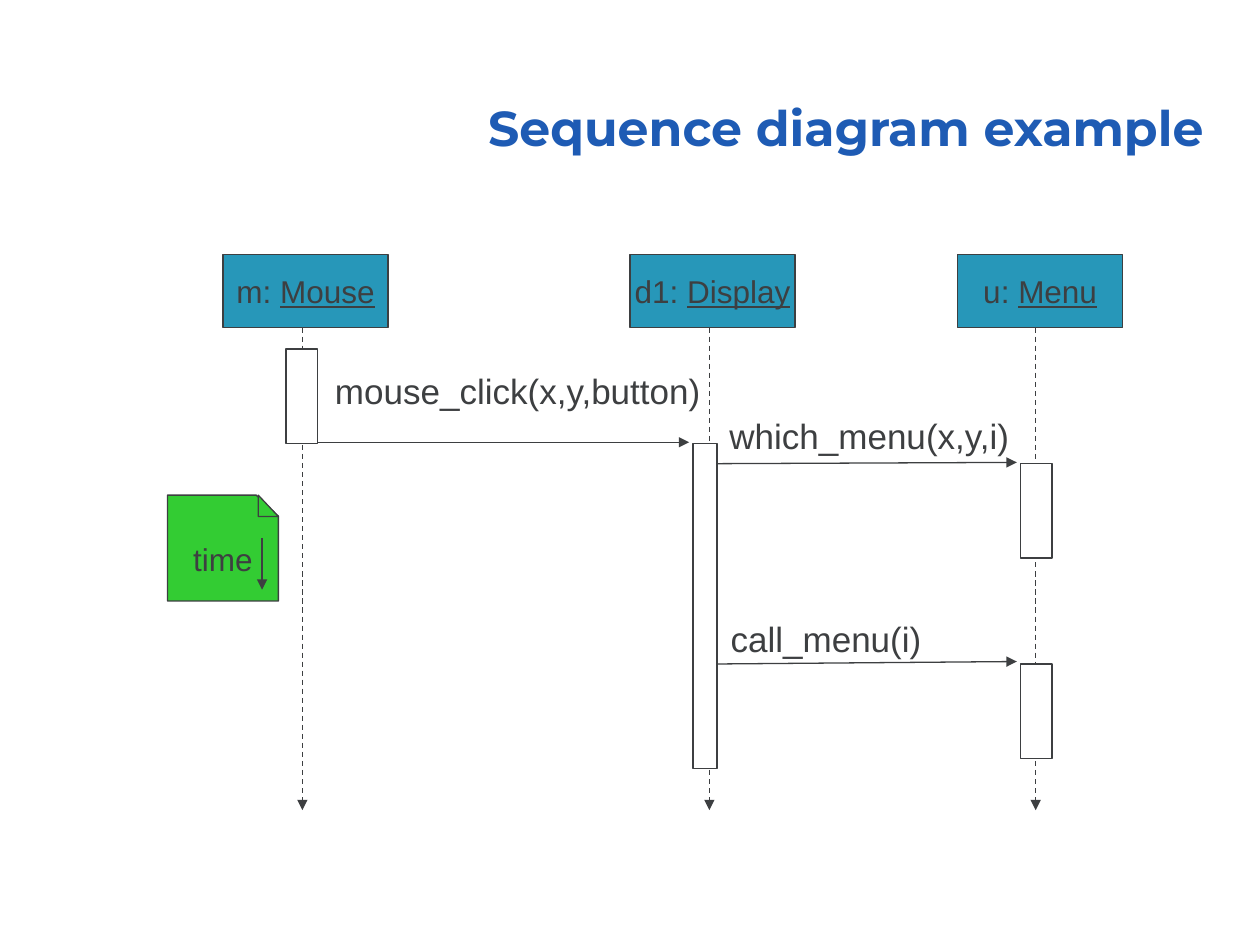
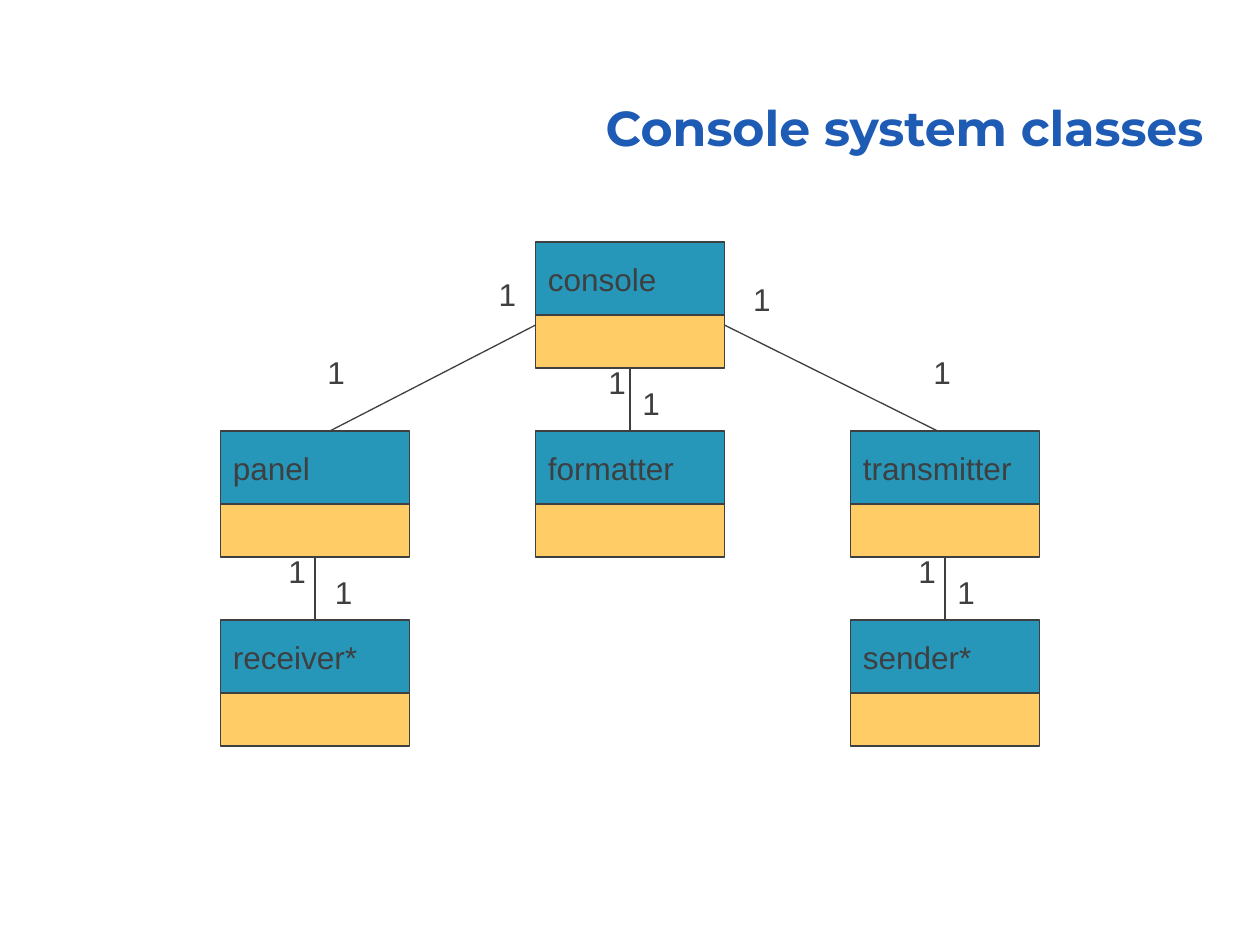
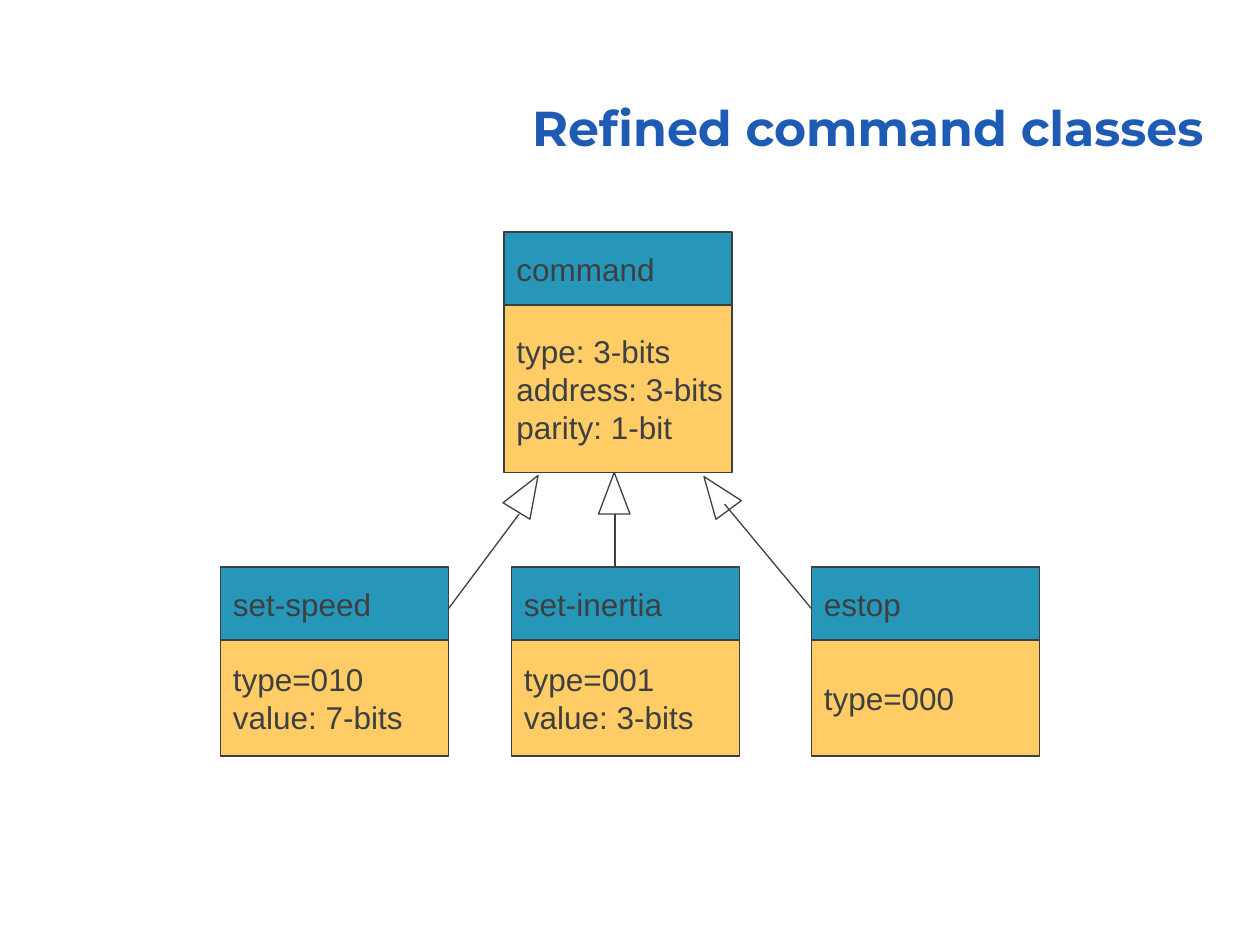
"""Build three UML slides: a sequence diagram and two class diagrams."""
from dataclasses import dataclass

from lxml.etree import SubElement
from pptx import Presentation
from pptx.dml.color import RGBColor
from pptx.enum.dml import MSO_LINE
from pptx.enum.shapes import MSO_CONNECTOR, MSO_SHAPE
from pptx.enum.text import MSO_ANCHOR, MSO_AUTO_SIZE, PP_ALIGN
from pptx.oxml.ns import qn
from pptx.util import Inches, Pt


@dataclass(frozen=True)
class Theme:
    ink: RGBColor = RGBColor.from_string("3D3F41")
    title: RGBColor = RGBColor.from_string("1E5BB4")
    head: RGBColor = RGBColor.from_string("2797B9")
    body: RGBColor = RGBColor.from_string("FFCC66")
    note: RGBColor = RGBColor.from_string("33CC33")
    white: RGBColor = RGBColor.from_string("FFFFFF")
    title_font: str = "Montserrat"
    font: str = "Arial"
    title_size: Pt = Pt(28)
    message_size: Pt = Pt(20)
    size: Pt = Pt(18)
    line: Pt = Pt(0.75)


T = Theme()


def add_box(s, at, text="", underlined="", fill=None, shape=MSO_SHAPE.RECTANGLE,
            size=T.size, align=PP_ALIGN.LEFT, rotation=0):
    """Add a filled shape, or a plain text box when no fill is given."""
    box = [Inches(v) for v in at]
    if fill is None:
        sp = s.shapes.add_textbox(*box)
        sp.text_frame.auto_size = MSO_AUTO_SIZE.SHAPE_TO_FIT_TEXT
    else:
        sp = s.shapes.add_shape(shape, *box)
        sp.shadow.inherit = False
        sp.fill.solid()
        sp.fill.fore_color.rgb = fill
        sp.line.color.rgb = T.ink
        sp.line.width = T.line
        sp.rotation = rotation
        sp.text_frame.vertical_anchor = MSO_ANCHOR.MIDDLE
    tf = sp.text_frame
    tf.word_wrap = False
    if text:
        tf.text = text
    if underlined:
        r = tf.paragraphs[0].add_run()
        r.text = underlined
        r.font.underline = True
    for p in tf.paragraphs:
        p.alignment = align
        for r in p.runs:
            r.font.name, r.font.size, r.font.color.rgb = T.font, size, T.ink
    return sp


def add_line(s, start, end, dashed=False, arrow=False):
    """Add a straight line, optionally dashed or with an arrowhead."""
    cx = s.shapes.add_connector(MSO_CONNECTOR.STRAIGHT, *[Inches(v) for v in start + end])
    cx.line.color.rgb = T.ink
    cx.line.width = T.line
    if dashed:
        cx.line.dash_style = MSO_LINE.DASH
    spPr = cx._element.spPr
    if arrow:
        SubElement(spPr.find(qn("a:ln")), qn("a:tailEnd"), type="triangle")
    SubElement(spPr, qn("a:effectLst"))
    return cx


prs = Presentation()
prs.slide_width, prs.slide_height = Inches(10), Inches(7.5)

slides = []
for title in ("Sequence diagram example", "Console system classes", "Refined command classes"):
    s = prs.slides.add_slide(prs.slide_layouts[5])
    sp = s.shapes.title
    sp.left, sp.top, sp.width, sp.height = [Inches(v) for v in (2.94, 0.53, 6.71, 0.77)]
    tf = sp.text_frame
    tf.text = title
    tf.auto_size = MSO_AUTO_SIZE.NONE
    tf.vertical_anchor = MSO_ANCHOR.BOTTOM
    p = tf.paragraphs[0]
    p.alignment = PP_ALIGN.RIGHT
    p.line_spacing = 0.9
    font = p.runs[0].font
    font.name, font.size, font.bold, font.color.rgb = T.title_font, T.title_size, True, T.title
    slides.append(s)
sequence, console, command = slides

for x, lifeline_x, instance, kind in (
    (1.77, 2.4, "m: ", "Mouse"),
    (5, 5.63, "d1: ", "Display"),
    (7.6, 8.22, "u: ", "Menu"),
):
    add_box(sequence, (x, 2.02, 1.31, 0.58), instance, underlined=kind, fill=T.head,
            align=PP_ALIGN.CENTER)
    add_line(sequence, (lifeline_x, 2.6), (lifeline_x, 6.43), dashed=True, arrow=True)

for activation in (
    (2.27, 2.77, 0.25, 0.75),
    (5.5, 3.52, 0.19, 2.58),
    (8.1, 3.68, 0.25, 0.75),
    (8.1, 5.27, 0.25, 0.75),
):
    add_box(sequence, activation, fill=T.white)

for start, end, label_at, message in (
    ((2.52, 3.51), (5.47, 3.51), (2.56, 2.88, 3.15, 0.44), "mouse_click(x,y,button)"),
    ((5.69, 3.68), (8.07, 3.67), (5.69, 3.24, 2.47, 0.44), "which_menu(x,y,i)"),
    ((5.69, 5.27), (8.07, 5.25), (5.7, 4.85, 1.76, 0.44), "call_menu(i)"),
):
    add_line(sequence, start, end, arrow=True)
    add_box(sequence, label_at, message, size=T.message_size)

note = add_box(sequence, (1.33, 3.93, 0.88, 0.84), "time", fill=T.note,
               shape=MSO_SHAPE.FLOWCHART_CARD, align=PP_ALIGN.CENTER)
note._element.spPr.get_or_add_xfrm().set("flipH", "1")
add_box(sequence, (2.05, 3.93, 0.16, 0.17), fill=T.note, shape=MSO_SHAPE.RIGHT_TRIANGLE)
add_line(sequence, (2.08, 4.27), (2.08, 4.68), arrow=True)

cards = {}
for s, x, y, width, body_height, name, fields in (
    (console, 4.25, 1.92, 1.5, 0.42, "console", ""),
    (console, 1.75, 3.42, 1.5, 0.42, "panel", ""),
    (console, 4.25, 3.42, 1.5, 0.42, "formatter", ""),
    (console, 6.75, 3.42, 1.5, 0.42, "transmitter", ""),
    (console, 1.75, 4.92, 1.5, 0.42, "receiver*", ""),
    (console, 6.75, 4.92, 1.5, 0.42, "sender*", ""),
    (command, 4, 1.84, 1.81, 1.33, "command", "type: 3-bits\naddress: 3-bits\nparity: 1-bit"),
    (command, 4.06, 4.5, 1.81, 0.92, "set-inertia", "type=001\nvalue: 3-bits"),
    (command, 1.75, 4.5, 1.81, 0.92, "set-speed", "type=010\nvalue: 7-bits"),
    (command, 6.44, 4.5, 1.81, 0.92, "estop", "type=000"),
):
    head = add_box(s, (x, y, width, 0.58), name, fill=T.head)
    body = add_box(s, (x, y + 0.58, width, body_height), fields, fill=T.body)
    cards[name] = head, body

add_line(console, (4.25, 2.58), (2.62, 3.42))
add_line(console, (5.75, 2.58), (7.44, 3.42))
for upper, lower, x, y in (
    ("console", "formatter", 5, 2.92),
    ("panel", "receiver*", 2.5, 4.42),
    ("transmitter", "sender*", 7.5, 4.42),
):
    cx = add_line(console, (x, y), (x, y + 0.5))
    cx.begin_connect(cards[upper][1], 2)
    cx.end_connect(cards[lower][0], 0)

for x, y in ((3.86, 2.13), (2.5, 2.75), (5.88, 2.17), (7.31, 2.75), (4.73, 2.83),
             (5, 3), (2.19, 4.33), (2.56, 4.5), (7.19, 4.33), (7.5, 4.5)):
    add_box(console, (x, y, 0.34, 0.4), "1")

for x, rotation, start, end in (
    (4.75, 0, (4.88, 4.08), (4.88, 4.5)),
    (4.06, 31.4, (4.12, 4.08), (3.56, 4.83)),
    (5.56, 323.5, (5.75, 4), (6.44, 4.83)),
):
    add_box(command, (x, 3.75, 0.25, 0.33), fill=T.white, rotation=rotation,
            shape=MSO_SHAPE.ISOSCELES_TRIANGLE)
    add_line(command, start, end)

prs.save("out.pptx")
